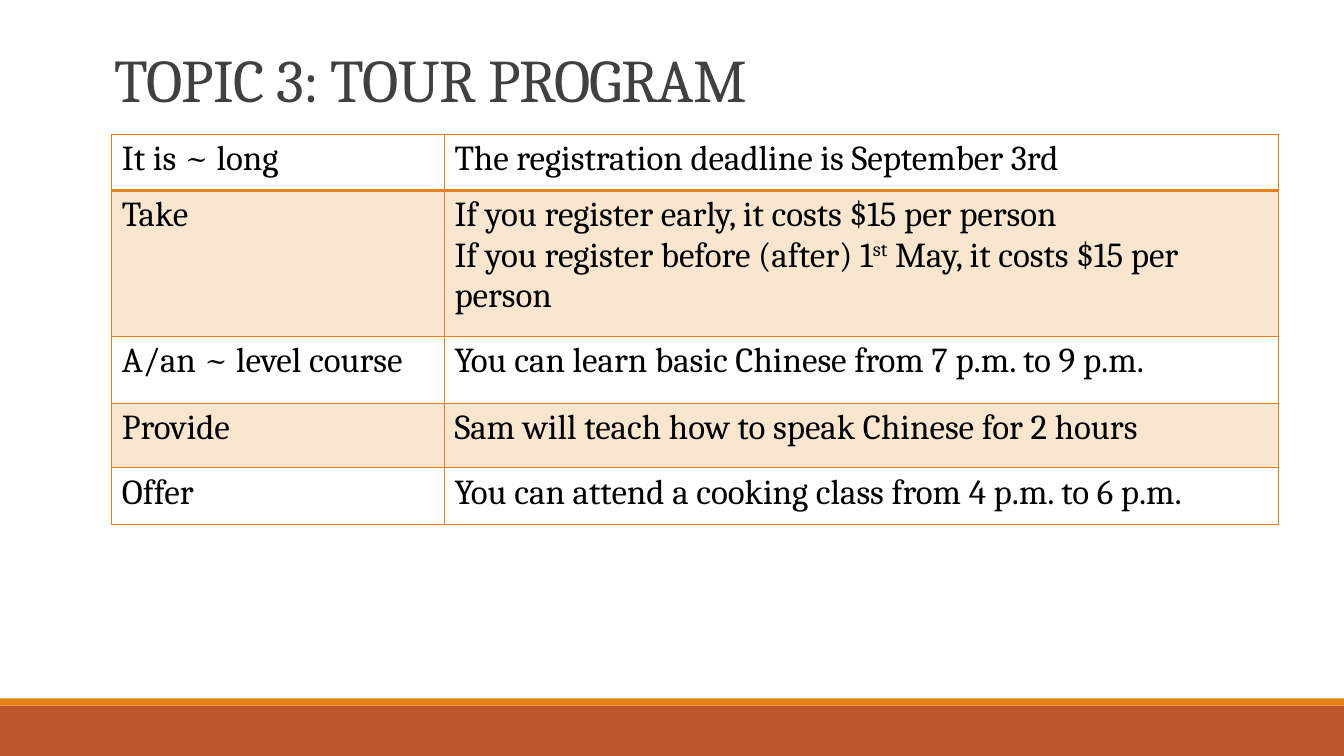
from dataclasses import dataclass

from lxml import etree
from pptx import Presentation
from pptx import util as u
from pptx.dml.color import RGBColor
from pptx.enum import shapes, text
from pptx.oxml.ns import qn


@dataclass(frozen=True)
class Theme:
    font: str = "Cambria"
    title_size: float = 43.2
    body_size: float = 25
    title: str = "404040"
    body: str = "000000"
    accent: str = "E48312"
    footer: str = "BD582C"
    rule: str = "808080"
    band_alpha: int = 20  # percent


class Deck:
    def __init__(self, theme, width, height):
        self.theme = theme
        self.prs = Presentation()
        self.prs.slide_width, self.prs.slide_height = u.Cm(width), u.Cm(height)
        self.s = self.prs.slides.add_slide(self.prs.slide_layouts[5])

    def run(self, p, wording, size, color):
        r = p.add_run()
        r.text = wording
        r.font.name = self.theme.font
        r.font.size = u.Pt(size)
        r.font.color.rgb = RGBColor.from_string(color)
        return r

    def bar(self, x, y, w, h, color):
        sp = self.s.shapes.add_shape(
            shapes.MSO_SHAPE.RECTANGLE, *map(u.Cm, (x, y, w, h)))
        sp.shadow.inherit = False
        sp.fill.solid()
        sp.fill.fore_color.rgb = RGBColor.from_string(color)
        sp.line.fill.background()

    def rule(self, x1, x2, y):
        ln = self.s.shapes.add_connector(
            shapes.MSO_CONNECTOR.STRAIGHT, *map(u.Cm, (x1, y, x2, y)))
        ln.line.color.rgb = RGBColor.from_string(self.theme.rule)
        ln.line.width = u.Pt(0.5)
        etree.SubElement(ln._element.spPr, qn("a:effectLst"))

    def title(self, x, y, w, h, wording):
        sp = self.s.shapes.title
        sp.left, sp.top, sp.width, sp.height = map(u.Cm, (x, y, w, h))
        tf = sp.text_frame
        tf.word_wrap = True
        tf.auto_size = text.MSO_AUTO_SIZE.NONE
        tf.vertical_anchor = text.MSO_ANCHOR.BOTTOM
        p = tf.paragraphs[0]
        p.alignment = text.PP_ALIGN.LEFT
        p.line_spacing = 0.85
        r = self.run(p, wording, self.theme.title_size, self.theme.title)
        r.font._element.set("spc", "-50")

    def border(self, cell, side, width):
        tcPr = cell._tc.get_or_add_tcPr()
        ln = etree.SubElement(tcPr, qn(f"a:ln{side}"), w=str(u.Pt(width)))
        fill = etree.SubElement(ln, qn("a:solidFill"))
        etree.SubElement(fill, qn("a:srgbClr"), val=self.theme.accent)

    def cell(self, cell, paragraphs, banded, top, bottom):
        # Borders come before the fill in the cell properties
        for side, width in (("L", 1), ("R", 1), ("T", top), ("B", bottom)):
            self.border(cell, side, width)
        if banded:
            cell.fill.solid()
            cell.fill.fore_color.rgb = RGBColor.from_string(self.theme.accent)
            color = cell._tc.tcPr.find(qn("a:solidFill"))[0]
            etree.SubElement(color, qn("a:alpha"),
                             val=str(self.theme.band_alpha * 1000))
        else:
            cell.fill.background()
        # Odd-numbered pieces of a paragraph are superscripts
        tf = cell.text_frame
        for i, pieces in enumerate(paragraphs):
            p = tf.add_paragraph() if i else tf.paragraphs[0]
            for n, wording in enumerate(pieces):
                r = self.run(p, wording, self.theme.body_size, self.theme.body)
                if n % 2:
                    r.font._element.set("baseline", "30000")

    def table(self, x, y, widths, heights, rows):
        frame = self.s.shapes.add_table(
            len(heights), len(widths),
            *map(u.Cm, (x, y, sum(widths), sum(heights))))
        tbl = frame.table
        tbl.first_row = tbl.horz_banding = False
        for col, width in zip(tbl.columns, widths):
            col.width = u.Cm(width)
        for i, (height, row) in enumerate(zip(heights, rows)):
            tbl.rows[i].height = u.Cm(height)
            for j, paragraphs in enumerate(row):
                self.cell(tbl.cell(i, j), paragraphs, banded=i % 2 == 1,
                          top=2 if i == 1 else 1, bottom=2 if i == 0 else 1)


PHRASES = [
    ([["It is ~ long"]], [["The registration deadline is September 3rd"]]),
    ([["Take"]], [["If you register early, it costs $15 per person"],
                  ["If you register before (after) 1", "st",
                   " May, it costs $15 per person"]]),
    ([["A/an ~ level course"]],
     [["You can learn basic Chinese from 7 p.m. to 9 p.m."]]),
    ([["Provide"]], [["Sam will teach how to speak Chinese for 2 hours"]]),
    ([["Offer"]], [["You can attend a cooking class from 4 p.m. to 6 p.m."]]),
]


def main():
    theme = Theme()
    width, height = 33.87, 19.05
    deck = Deck(theme, width, height)

    # Footer bars and the rule under the title
    deck.bar(0, 17.78, width, 1.27, theme.footer)
    deck.bar(0, 17.6, width, 0.18, theme.accent)
    deck.rule(3.33, 31.01, 4.8)

    # Phrase table
    deck.table(2.82, 3.38, (8.38, 21.01), (1.42, 3.68, 1.68, 1.63, 1.42),
               PHRASES)

    # Title
    deck.title(2.62, 1.57, 29.21, 1.45, "TOPIC 3: TOUR PROGRAM")

    deck.prs.save("out.pptx")


if __name__ == "__main__":
    main()
